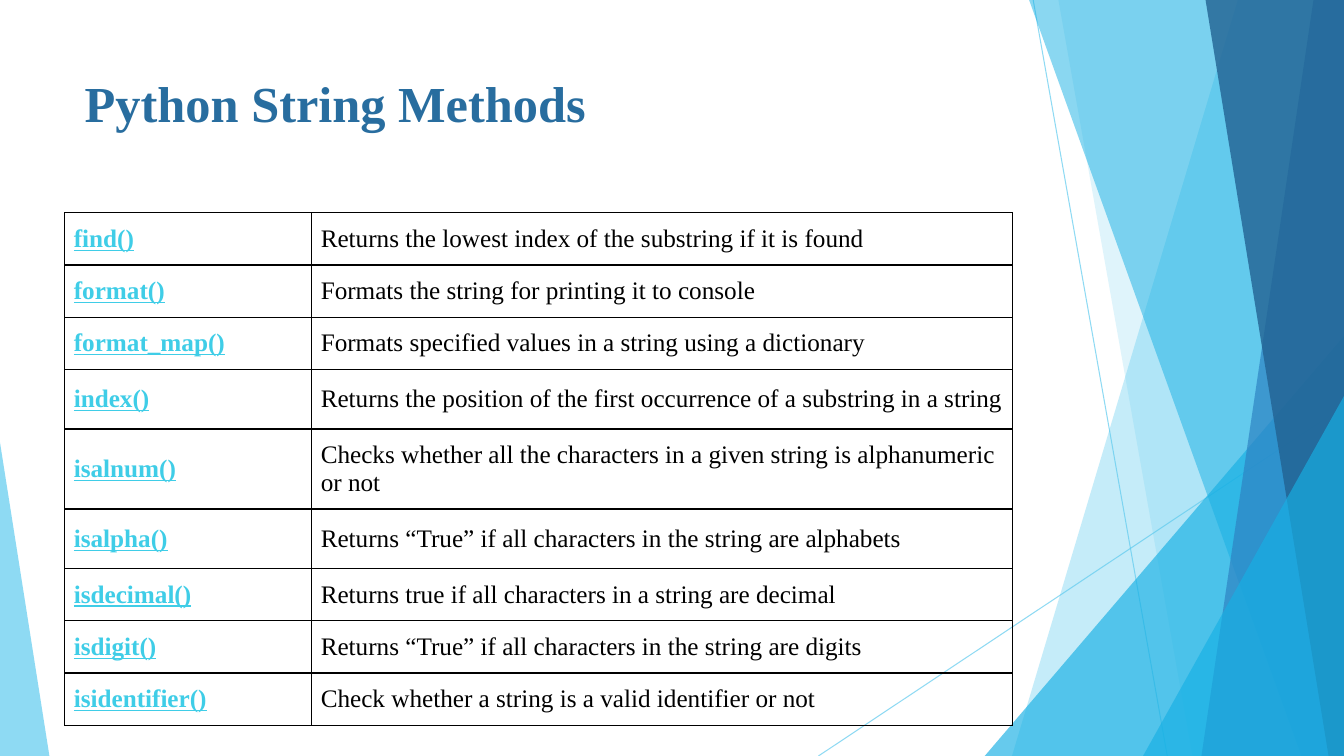
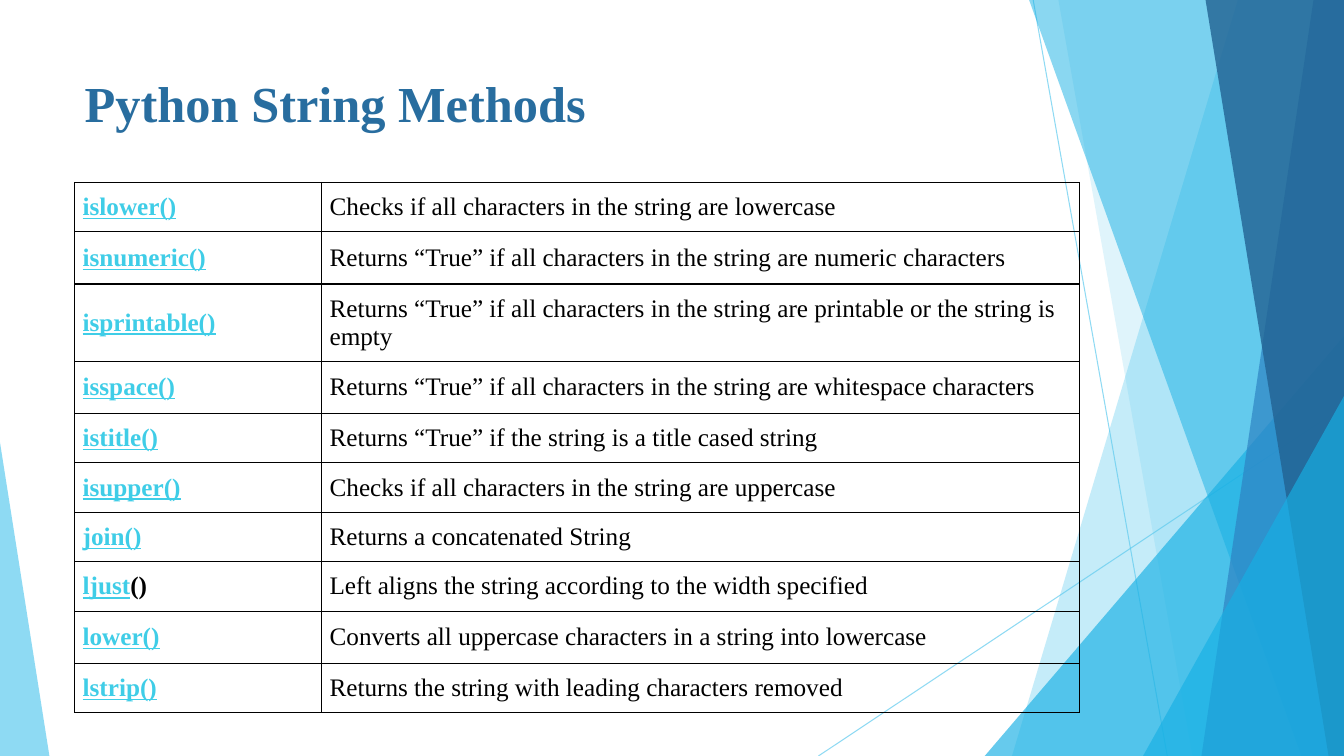
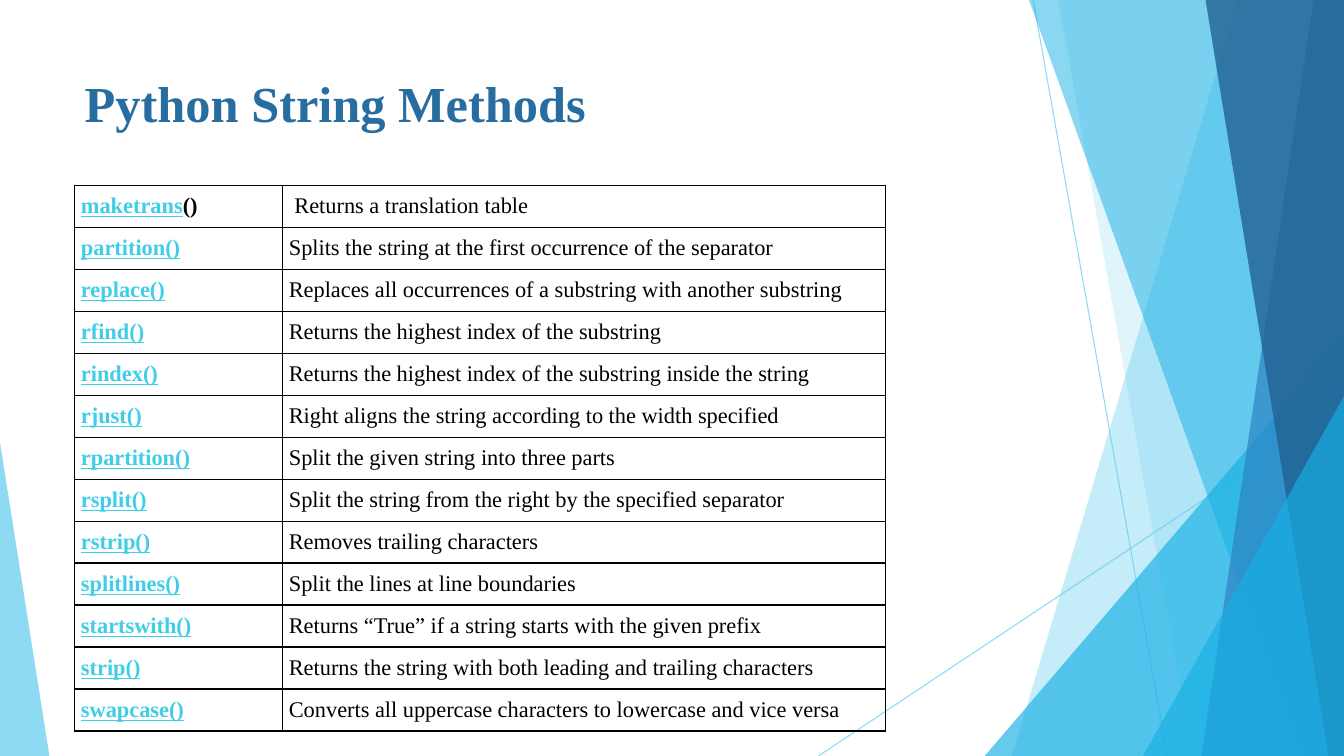
"""Builds three slides that list Python string methods in tables."""
from lxml.etree import SubElement
from pptx import Presentation
from pptx.dml.color import RGBColor
from pptx.enum.shapes import MSO_CONNECTOR, MSO_SHAPE, PP_PLACEHOLDER
from pptx.enum.text import MSO_ANCHOR, PP_ALIGN
from pptx.oxml import parse_xml
from pptx.oxml.ns import nsdecls, qn
from pptx.util import Pt

WIDTH, HEIGHT = 960, 540
FONT = "Times New Roman"
SKY = RGBColor(0x5F, 0xCB, 0xEF)
CYAN = RGBColor(0x17, 0xB0, 0xE4)
BLUE = RGBColor(0x2E, 0x83, 0xC3)
NAVY = RGBColor(0x22, 0x62, 0x92)
TITLE_BLUE = RGBColor(0x28, 0x6D, 0x9F)
LINK_CYAN = RGBColor(0x3F, 0xCD, 0xE7)
BLACK = RGBColor(0, 0, 0)

TITLE = "Python String Methods"
TITLE_BOX = {"left": Pt(53.3), "top": Pt(48), "width": Pt(676.8), "height": Pt(103.7)}
TITLE_FORMAT = {"name": FONT, "size": Pt(36), "bold": True}
LINK_FORMAT = {"name": FONT, "bold": True, "underline": True}
PARENS_FORMAT = {"name": FONT, "bold": True, "underline": False}
BODY_FORMAT = {"name": FONT, "bold": False, "underline": False}
PLAIN_PARENS = {"ljust", "maketrans"}

TABLES = [
    {
        "left": 46.2, "top": 152, "columns": (176.4, 500.4), "inset": 8.7, "size": 18,
        "row_height": 29.5, "tall_height": 42.5, "tall_rows": {"index", "isalnum", "isalpha"},
        "methods": [
            ("find", "Returns the lowest index of the substring if it is found"),
            ("format", "Formats the string for printing it to console"),
            ("format_map", "Formats specified values in a string using a dictionary"),
            ("index", "Returns the position of the first occurrence of a substring in a string"),
            ("isalnum", "Checks whether all the characters in a given string is alphanumeric or not"),
            ("isalpha", "Returns “True” if all characters in the string are alphabets"),
            ("isdecimal", "Returns true if all characters in a string are decimal"),
            ("isdigit", "Returns “True” if all characters in the string are digits"),
            ("isidentifier", "Check whether a string is a valid identifier or not"),
        ],
    },
    {
        "left": 53.3, "top": 130.3, "columns": (176.4, 541.4), "inset": 7.7, "size": 18,
        "row_height": 26, "tall_height": 37.2,
        "tall_rows": {"isnumeric", "isprintable", "isspace", "lower"},
        "methods": [
            ("islower", "Checks if all characters in the string are lowercase"),
            ("isnumeric", "Returns “True” if all characters in the string are numeric characters"),
            ("isprintable", "Returns “True” if all characters in the string are printable or the string is empty"),
            ("isspace", "Returns “True” if all characters in the string are whitespace characters"),
            ("istitle", "Returns “True” if the string is a title cased string"),
            ("isupper", "Checks if all characters in the string are uppercase"),
            ("join", "Returns a concatenated String"),
            ("ljust", "Left aligns the string according to the width specified"),
            ("lower", "Converts all uppercase characters in a string into lowercase"),
            ("lstrip", "Returns the string with leading characters removed"),
        ],
    },
    {
        "left": 53.3, "top": 132.3, "columns": (148.5, 430.8), "inset": 6.1, "size": 16,
        "row_height": 30, "tall_height": 30, "tall_rows": set(),
        "methods": [
            ("maketrans", " Returns a translation table"),
            ("partition", "Splits the string at the first occurrence of the separator"),
            ("replace", "Replaces all occurrences of a substring with another substring"),
            ("rfind", "Returns the highest index of the substring"),
            ("rindex", "Returns the highest index of the substring inside the string"),
            ("rjust", "Right aligns the string according to the width specified"),
            ("rpartition", "Split the given string into three parts"),
            ("rsplit", "Split the string from the right by the specified separator"),
            ("rstrip", "Removes trailing characters"),
            ("splitlines", "Split the lines at line boundaries"),
            ("startswith", "Returns “True” if a string starts with the given prefix"),
            ("strip", "Returns the string with both leading and trailing characters"),
            ("swapcase", "Converts all uppercase characters to lowercase and vice versa"),
        ],
    },
]


def apply_format(target, values):
    """Set each attribute of the target from a dict."""
    for attribute, value in values.items():
        setattr(target, attribute, value)


def set_opacity(shape, percent):
    """Make the only RGB colour of a shape translucent."""
    colour = shape.element.find(".//" + qn("a:srgbClr"))
    SubElement(colour, qn("a:alpha")).set("val", str(percent * 1000))


def paint(shape, colour, opacity):
    """Give a shape a translucent fill without outline or shadow."""
    shape.shadow.inherit = False
    shape.fill.solid()
    shape.fill.fore_color.rgb = colour
    shape.line.fill.background()
    set_opacity(shape, opacity)
    return shape


def add_ray(slide, start, end):
    """Draw a thin translucent line."""
    ray = slide.shapes.add_connector(MSO_CONNECTOR.STRAIGHT, *map(Pt, start + end))
    ray.line.color.rgb = SKY
    ray.line.width = Pt(0.75)
    SubElement(ray.element.spPr, qn("a:effectLst"))
    set_opacity(ray, 70)
    return ray


def add_band(slide, top_x, bottom_x, colour, opacity):
    """Draw a full-height band with a slanted left edge, up to the right edge."""
    builder = slide.shapes.build_freeform(Pt(top_x), 0)
    corners = [(WIDTH, 0), (WIDTH, HEIGHT), (bottom_x, HEIGHT)]
    builder.add_line_segments([(Pt(x), Pt(y)) for x, y in corners], close=True)
    return paint(builder.convert_to_shape(), colour, opacity)


def add_wedge(slide, left, right, top, apex, colour, opacity):
    """Draw a triangle that stands on the bottom edge."""
    box = map(Pt, (left, top, right - left, HEIGHT - top))
    wedge = slide.shapes.add_shape(MSO_SHAPE.ISOSCELES_TRIANGLE, *box)
    wedge.adjustments[0] = apex
    return paint(wedge, colour, opacity)


def decorate_layout(layout, slide):
    """Draw the facets on a slide and move them to its layout."""
    facets = [
        add_ray(slide, (738, 0), (833.8, HEIGHT)),
        add_ray(slide, (WIDTH, 290.2), (584.6, HEIGHT)),
        add_band(slide, 884.2, 722.9, SKY, 36),
        add_band(slide, 756, 851.8, SKY, 20),
        add_wedge(slide, 703.4, WIDTH, 240, 1, CYAN, 66),
        add_band(slide, 735.1, 929.5, CYAN, 50),
        add_band(slide, 938.2, 858.2, BLUE, 70),
        add_band(slide, 861.1, 949, NAVY, 80),
        add_wedge(slide, 816.5, WIDTH, 283, 1, CYAN, 66),
        add_wedge(slide, 0, 35.3, 316.1, 0, SKY, 70),
    ]
    for facet in facets:
        layout.shapes.element.append(facet.element)


def prepare_layout(layout):
    """Keep only the title placeholder and put it in place."""
    for placeholder in list(layout.placeholders):
        if placeholder.placeholder_format.type == PP_PLACEHOLDER.TITLE:
            apply_format(placeholder, TITLE_BOX)
        else:
            layout.shapes.element.remove(placeholder.element)


def add_run(paragraph, text, colour, values):
    """Append formatted text to a paragraph."""
    run = paragraph.add_run()
    run.text = text
    apply_format(run.font, values)
    run.font.color.rgb = colour


def set_title(slide):
    """Fill the title placeholder."""
    frame = slide.shapes.title.text_frame
    frame.vertical_anchor = MSO_ANCHOR.TOP
    heading = frame.paragraphs[0]
    heading.alignment = PP_ALIGN.LEFT
    add_run(heading, TITLE, TITLE_BLUE, TITLE_FORMAT)


def style_cell(cell, inset):
    """Give a cell its margins, black borders and no fill."""
    side = Pt(inset * 0.75)
    apply_format(cell, {
        "margin_left": side, "margin_right": side,
        "margin_top": Pt(inset), "margin_bottom": Pt(inset),
        "vertical_anchor": MSO_ANCHOR.MIDDLE,
    })
    cell.fill.background()
    properties = cell._tc.get_or_add_tcPr()
    for position, edge in enumerate("LRTB"):
        properties.insert(position, parse_xml(
            f'<a:ln{edge} {nsdecls("a")} w="{Pt(1)}"><a:solidFill>'
            f'<a:srgbClr val="{BLACK}"/></a:solidFill></a:ln{edge}>'))


def add_method_table(slide, layout):
    """Add a table of method names and descriptions."""
    methods, columns = layout["methods"], layout["columns"]
    heights = [layout["tall_height" if name in layout["tall_rows"] else "row_height"]
               for name, _ in methods]
    box = map(Pt, (layout["left"], layout["top"], sum(columns), sum(heights)))
    table = slide.shapes.add_table(len(methods), len(columns), *box).table
    apply_format(table, {"first_row": False, "horz_banding": False})
    for column, width in zip(table.columns, columns):
        column.width = Pt(width)
    size = {"size": Pt(layout["size"])}
    for row, height, (name, description) in zip(table.rows, heights, methods):
        row.height = Pt(height)
        for cell in row.cells:
            style_cell(cell, layout["inset"])
        call, meaning = (cell.text_frame.paragraphs[0] for cell in row.cells)
        if name in PLAIN_PARENS:
            add_run(call, name, LINK_CYAN, LINK_FORMAT | size)
            add_run(call, "()", BLACK, PARENS_FORMAT | size)
        else:
            add_run(call, name + "()", LINK_CYAN, LINK_FORMAT | size)
        add_run(meaning, description, BLACK, BODY_FORMAT | size)


def main():
    """Build and save the presentation."""
    deck = Presentation()
    deck.slide_width, deck.slide_height = Pt(WIDTH), Pt(HEIGHT)
    title_only = deck.slide_layouts[5]
    prepare_layout(title_only)
    slides = [deck.slides.add_slide(title_only) for _ in TABLES]
    decorate_layout(title_only, slides[0])
    for slide, method_table in zip(slides, TABLES):
        set_title(slide)
        add_method_table(slide, method_table)
    deck.save("out.pptx")


if __name__ == "__main__":
    main()
